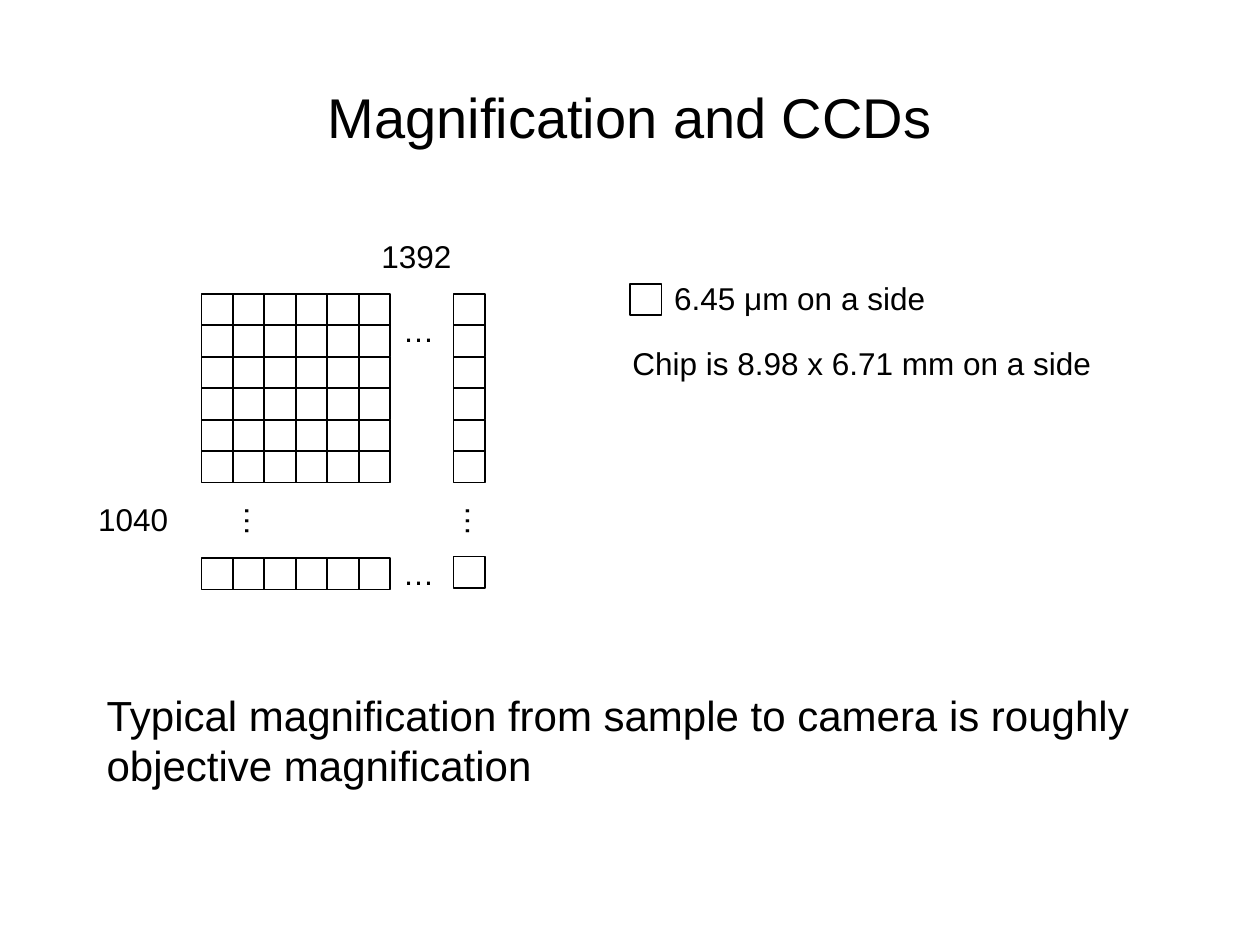
from pptx import Presentation
from pptx.dml.color import RGBColor
from pptx.enum.shapes import MSO_SHAPE
from pptx.enum.text import MSO_ANCHOR, MSO_AUTO_SIZE, PP_ALIGN
from pptx.util import Cm, Pt

COLORS = {"ink": "000000", "paper": "FFFFFF"}
FONT = "Arial"
CELL = 2.54 / 4
GRID_LEFT, GRID_TOP = 4.06, 5.92
LAST_COL, LAST_ROW = 9.14, 11.25
COUNT = 6


class SlideBuilder:
    """Hold the slide and its style, and draw each kind of element."""

    def __init__(self, prs):
        self.s = prs.slides.add_slide(prs.slide_layouts[5])
        fill = self.s.background.fill
        fill.solid()
        fill.fore_color.rgb = RGBColor.from_string(COLORS["paper"])

    def set_text(self, tf, text, size, align):
        tf.text = text
        p = tf.paragraphs[0]
        p.alignment = align
        font = p.runs[0].font
        font.name = FONT
        font.size = Pt(size)
        font.color.rgb = RGBColor.from_string(COLORS["ink"])

    def title(self, text, left, top, width, height):
        sp = self.s.shapes.title
        sp.left, sp.top, sp.width, sp.height = map(Cm, (left, top, width, height))
        tf = sp.text_frame
        tf.vertical_anchor = MSO_ANCHOR.MIDDLE
        self.set_text(tf, text, 32, PP_ALIGN.CENTER)

    def label(self, text, left, top, width, height=1.02, size=18, wrap=False, rotation=0):
        sp = self.s.shapes.add_textbox(Cm(left), Cm(top), Cm(width), Cm(height))
        sp.rotation = rotation
        tf = sp.text_frame
        tf.word_wrap = wrap
        tf.auto_size = MSO_AUTO_SIZE.SHAPE_TO_FIT_TEXT
        self.set_text(tf, text, size, PP_ALIGN.LEFT)

    def pixels(self, left, top, cols=1, rows=1):
        for col in range(cols):
            for row in range(rows):
                sp = self.s.shapes.add_shape(
                    MSO_SHAPE.RECTANGLE, Cm(left + col * CELL),
                    Cm(top + row * CELL), Cm(CELL), Cm(CELL))
                sp.shadow.inherit = False
                sp.fill.background()
                sp.line.color.rgb = RGBColor.from_string(COLORS["ink"])
                sp.line.width = Pt(1)


def main():
    prs = Presentation()
    prs.slide_width, prs.slide_height = Cm(25.4), Cm(19.05)
    b = SlideBuilder(prs)
    b.title("Magnification and CCDs", 1.27, 0.76, 22.86, 3.18)

    b.pixels(GRID_LEFT, GRID_TOP, COUNT, COUNT)
    b.pixels(GRID_LEFT, LAST_ROW, cols=COUNT)
    b.pixels(LAST_COL, GRID_TOP, rows=COUNT)
    b.pixels(LAST_COL, LAST_ROW - 0.03)
    for top in (6.15, 11.05):
        b.label("…", 7.87, top, 1.14)
    for left in (4.62, 9.07):
        b.label("…", left, 10.01, 1.14, rotation=90)
    b.label("1040", 1.73, 9.96, 1.93)
    b.label("1392", 7.44, 4.65, 1.93)

    b.pixels(12.7, 5.72)
    b.label("6.45 μm on a side", 13.34, 5.51, 5.56)
    b.label("Chip is 8.98 x 6.71 mm on a side", 12.5, 6.81, 9.75)
    b.label("Typical magnification from sample to camera is roughly "
            "objective magnification", 1.9, 13.77, 21.59, 2.29, size=24, wrap=True)
    prs.save("out.pptx")


if __name__ == "__main__":
    main()
